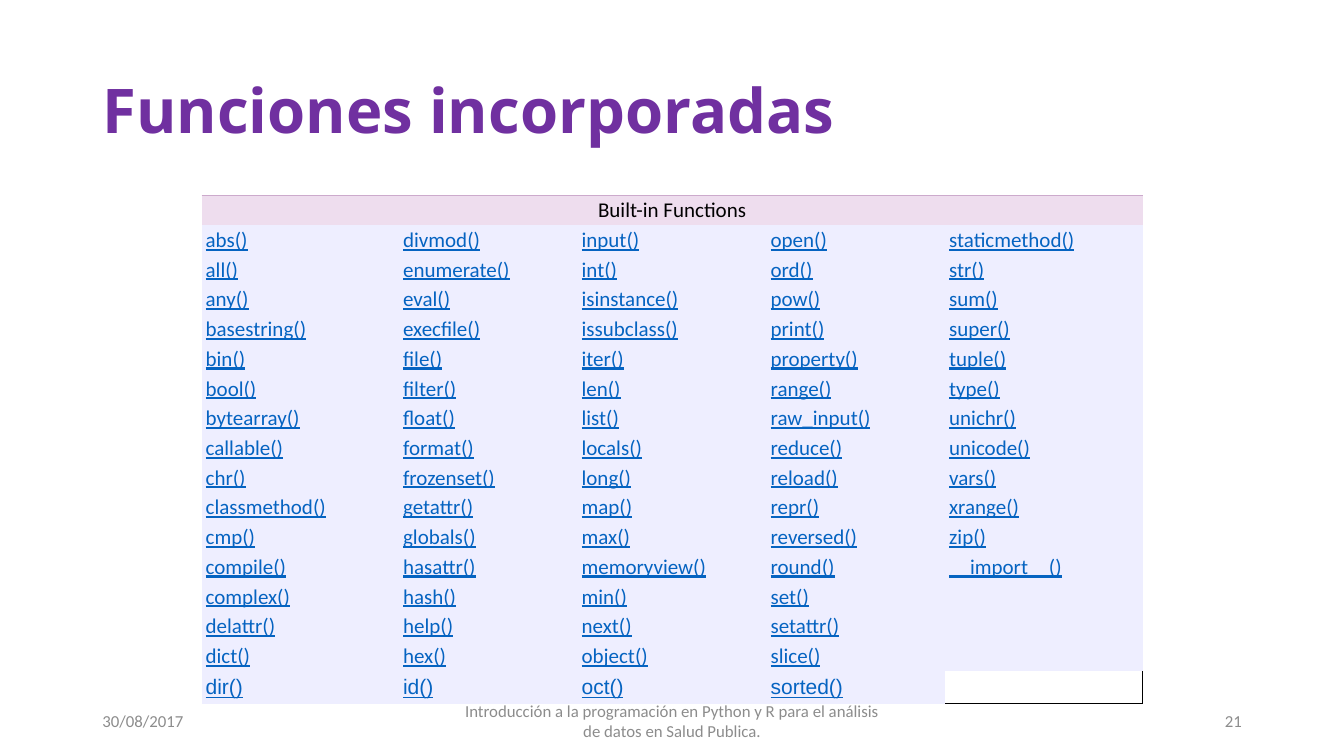
from lxml import etree
from pptx import Presentation
from pptx import util as u
from pptx.dml.color import RGBColor
from pptx.enum import text
from pptx.oxml.ns import qn

NAMES = """
abs all any basestring bin bool bytearray callable chr classmethod cmp compile complex delattr dict dir
divmod enumerate eval execfile file filter float format frozenset getattr globals hasattr hash help hex id
input int isinstance issubclass iter len list locals long map max memoryview min next object oct
open ord pow print property range raw_input reduce reload repr reversed round set setattr slice sorted
staticmethod str sum super tuple type unichr unicode vars xrange zip __import__
""".split()
ROWS = 16
WIDTHS = [23.5, 21.25, 22.5, 21.25, 23.5]
ALIGN = text.PP_ALIGN


def color(code):
    return RGBColor.from_string(code)


class Deck:
    font = "Calibri"
    ink = "000000"
    link = "0563C1"
    gray = "8C8C8C"
    purple = "7030A0"
    pink = "EEDDEE"
    rose = "CCAACC"
    pale = "EEEEFF"

    def __init__(self):
        self.deck = Presentation()
        self.deck.slide_width = u.Inches(13.33)
        self.deck.slide_height = u.Inches(7.5)
        self.unit = self.deck.slide_height / 90
        self.slide = self.deck.slides.add_slide(self.deck.slide_layouts[5])

    def grid(self, *spans):
        return [round(span * self.unit) for span in spans]

    def put(self, frame, words, size, tint, align=ALIGN.LEFT, font=None, bold=False, under=False):
        frame.word_wrap = True
        frame.text = words
        para = frame.paragraphs[0]
        para.alignment = align
        for run in para.runs:
            run.font.name = font or self.font
            run.font.size = u.Pt(size)
            run.font.bold = bold
            run.font.underline = under
            run.font.color.rgb = color(tint)
        return para

    def title(self, words, *box):
        shape = self.slide.shapes.title
        shape.left, shape.top, shape.width, shape.height = self.grid(*box)
        frame = shape.text_frame
        frame.auto_size = text.MSO_AUTO_SIZE.NONE
        frame.vertical_anchor = text.MSO_ANCHOR.MIDDLE
        para = self.put(frame, words, 44, self.purple, font="Open Sans", bold=True)
        para.line_spacing = 0.9

    def label(self, words, align, *box):
        frame = self.slide.shapes.add_textbox(*self.grid(*box)).text_frame
        frame.vertical_anchor = text.MSO_ANCHOR.MIDDLE
        self.put(frame, words, 12, self.gray, align)

    def border(self, cell, sides, tint, width):
        props = cell._tc.get_or_add_tcPr()
        for place, side in enumerate(sides):
            line = etree.Element(qn("a:ln" + side), w=str(u.Pt(width)))
            fill = etree.SubElement(line, qn("a:solidFill"))
            etree.SubElement(fill, qn("a:srgbClr"), val=tint)
            props.insert(place, line)

    def cell(self, cell, words, back, tint, **style):
        cell.vertical_anchor = text.MSO_ANCHOR.MIDDLE
        cell.margin_left = cell.margin_right = u.Inches(0.04)
        cell.margin_top = cell.margin_bottom = u.Inches(0.02)
        if back:
            cell.fill.solid()
            cell.fill.fore_color.rgb = color(back)
        else:
            cell.fill.background()
        para = self.put(cell.text_frame, words, 15, tint, **style)
        if not words:
            etree.SubElement(para._p, qn("a:endParaRPr"), sz="1500")

    def table(self, head, names, left, top, high, last):
        count = len(WIDTHS)
        box = self.grid(left, top, sum(WIDTHS), high)
        table = self.slide.shapes.add_table(ROWS + 1, count, *box).table
        table.first_row = table.horz_banding = False
        style = table._tbl.tblPr.find(qn("a:tableStyleId"))
        style.text = "{2D5ABB26-0587-4C30-8999-92F81FD0307C}"
        for column, width in zip(table.columns, self.grid(*WIDTHS)):
            column.width = width
        heights = [(high - last) / ROWS] * ROWS + [last]
        for row, height in zip(table.rows, self.grid(*heights)):
            row.height = height
        for col in range(count):
            top_cell = table.cell(0, col)
            words = head if col == count // 2 else ""
            self.cell(top_cell, words, self.pink, self.ink, align=ALIGN.CENTER)
            self.border(top_cell, "T", self.rose, 0.75)
            for row in range(ROWS):
                place = col * ROWS + row
                words = names[place] + "()" if place < len(names) else ""
                final = row == ROWS - 1
                self.cell(table.cell(row + 1, col), words,
                          None if final and not words else self.pale,
                          self.link, font="Arial" if final else None, under=True)
        self.border(table.cell(ROWS, count - 1), "RB", self.ink, 1)


page = Deck()
page.title("Funciones incorporadas", 11, 4.8, 138, 17.4)
page.table("Built-in Functions", NAMES, 24, 23.3, 58.4, 3.84)
for words, align, left, wide in [
    ("30/08/2017", ALIGN.LEFT, 11, 36),
    ("Introducción a la programación en Python y R para el análisis de datos en Salud Publica.",
     ALIGN.CENTER, 53, 54),
    ("21", ALIGN.RIGHT, 113, 36),
]:
    page.label(words, align, left, 83.4, wide, 4.8)
page.deck.save("out.pptx")
